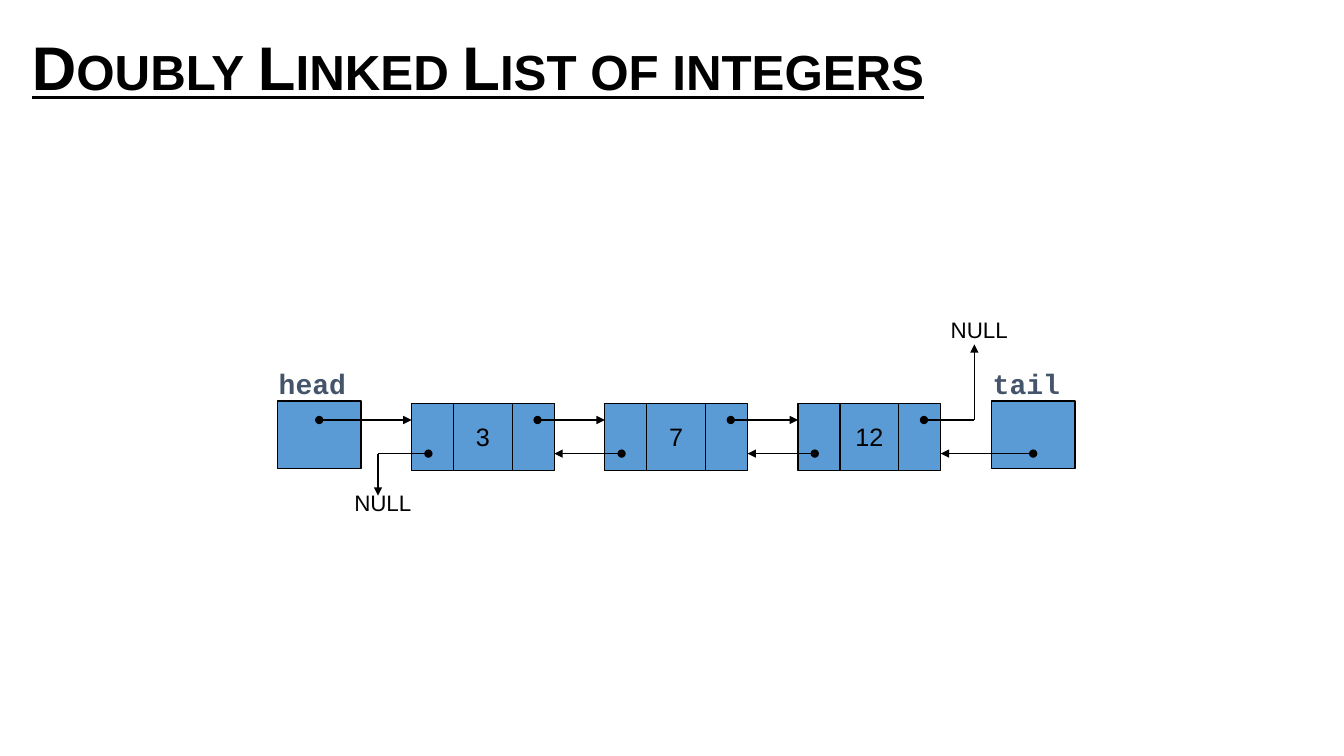
from pptx import Presentation
from pptx.dml.color import RGBColor
from pptx.enum.shapes import MSO_CONNECTOR, MSO_SHAPE
from pptx.enum.text import MSO_ANCHOR, PP_ALIGN
from pptx.oxml.ns import qn
from pptx.util import Pt
from lxml.etree import SubElement


def px(n):
    return n * 9525


def rgb(hex_color):
    return RGBColor.from_string(hex_color)


class Diagram:
    """Draws boxes, labels and pointers on one slide in a shared style."""

    FILL, INK, LABEL = "5B9BD5", "000000", "44546A"
    SANS, MONO = "Arial", "Courier New"

    def __init__(self, s):
        self.s = s

    def run(self, p, text, size, font=SANS, color=INK, bold=False):
        r = p.add_run()
        r.text = text
        r.font.size, r.font.name, r.font.bold = Pt(size), font, bold
        r.font.color.rgb = rgb(color)
        return r

    def box(self, x, y, w, h, text=""):
        sp = self.s.shapes.add_shape(MSO_SHAPE.RECTANGLE, px(x), px(y), px(w), px(h))
        sp.shadow.inherit = False
        sp.fill.solid()
        sp.fill.fore_color.rgb = rgb(self.FILL)
        sp.line.color.rgb = rgb(self.INK)
        sp.line.width = Pt(1)
        if text:
            tf = sp.text_frame
            tf.word_wrap = False
            tf.vertical_anchor = MSO_ANCHOR.MIDDLE
            p = tf.paragraphs[0]
            p.alignment = PP_ALIGN.CENTER
            self.run(p, text, 18)

    def frame(self, x, y, w, h, wrap=True):
        tf = self.s.shapes.add_textbox(px(x), px(y), px(w), px(h)).text_frame
        tf.word_wrap = wrap
        return tf

    def title(self, x, y, w, h, text):
        tf = self.frame(x, y, w, h)
        tf.vertical_anchor = MSO_ANCHOR.MIDDLE
        p = tf.paragraphs[0]
        p.line_spacing = 0.9
        r = self.run(p, text, 44, bold=True)
        r.font.underline = True
        r.font._element.set("cap", "small")

    def label(self, x, y, text):
        p = self.frame(x, y, 112, 41).paragraphs[0]
        p.space_before = Pt(5)
        self.run(p, text, 20, self.MONO, self.LABEL, True)

    def null(self, x, y):
        p = self.frame(x, y, 123, 35, wrap=False).paragraphs[0]
        p.level = 1
        p._p.get_or_add_pPr().set("marL", str(px(48)))
        self.run(p, "NULL", 16)

    def pointer(self, x1, y1, x2, y2, dot=True, arrow=True):
        c = self.s.shapes.add_connector(MSO_CONNECTOR.STRAIGHT, px(x1), px(y1), px(x2), px(y2))
        c.line.color.rgb = rgb(self.INK)
        c.line.width = Pt(1)
        ln = c.line._get_or_add_ln()
        if dot:
            SubElement(ln, qn("a:headEnd"), type="oval")
        if arrow:
            SubElement(ln, qn("a:tailEnd"), type="triangle")
        SubElement(c._element.spPr, qn("a:effectLst"))

    def node(self, x, y, value):
        self.box(x + 40, y, 56, 64, value)
        for link_x in (x, x + 96):
            self.box(link_x, y, 40, 64)


def main():
    prs = Presentation()
    prs.slide_width, prs.slide_height = px(1280), px(720)
    d = Diagram(prs.slides.add_slide(prs.slide_layouts[6]))
    d.title(21, 23, 1238, 89, "Doubly Linked List of integers")

    for x, name in ((264, "head"), (944, "tail")):
        d.box(x, 382, 80, 64)
        d.label(x - 8, 344, name)

    values = ("3", "7", "12")
    first, pitch, next_y, prev_y = 392, 184, 400, 432
    last = first + pitch * (len(values) - 1)
    for i, value in enumerate(values):
        d.node(first + i * pitch, 384, value)

    d.pointer(304, next_y, first, next_y)
    d.pointer(984, prev_y, last + 136, prev_y)
    for x in range(first, last, pitch):
        d.pointer(x + 120, next_y, x + pitch, next_y)
        d.pointer(x + pitch + 16, prev_y, x + 136, prev_y)

    d.pointer(first + 16, prev_y, 360, prev_y, arrow=False)
    d.pointer(360, prev_y, 360, 472, dot=False)
    d.null(280, 461)
    d.pointer(last + 120, next_y, 928, next_y, arrow=False)
    d.pointer(928, next_y, 928, 328, dot=False)
    d.null(848, 296)

    prs.save("out.pptx")


if __name__ == "__main__":
    main()
